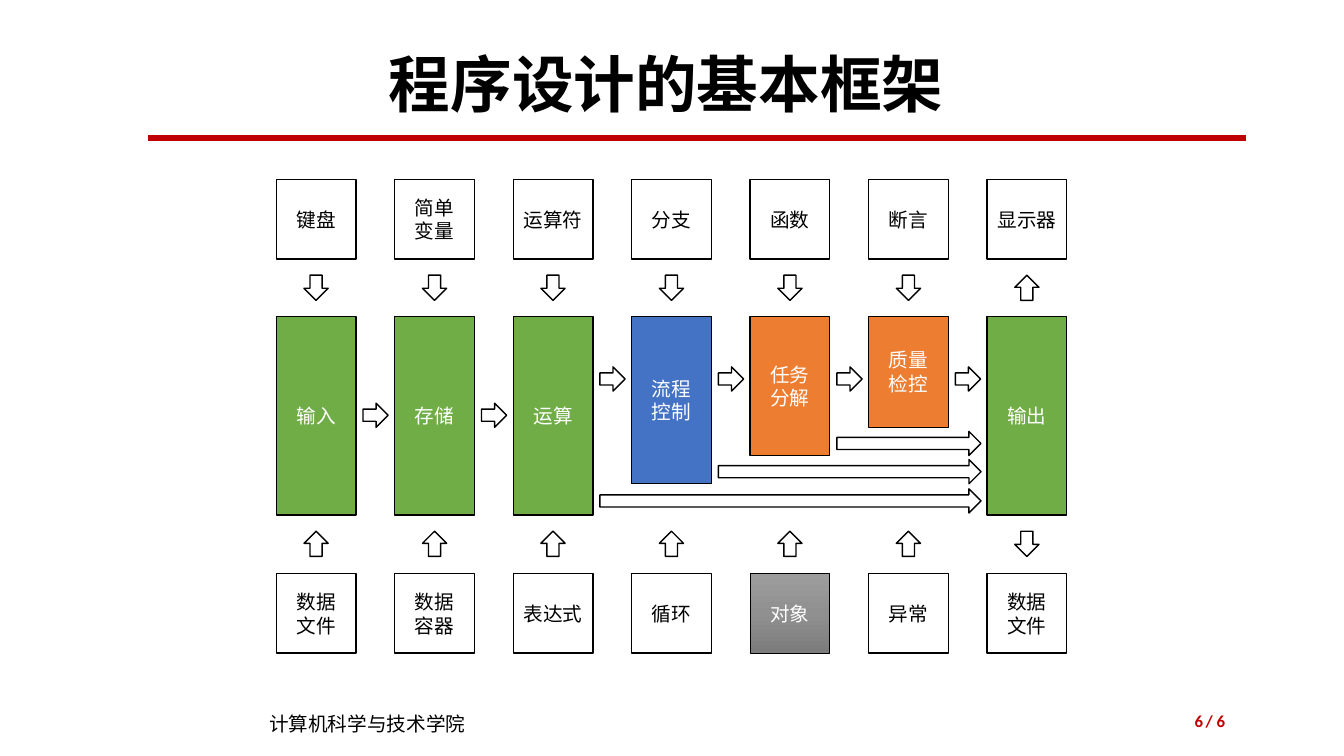
from copy import deepcopy

from lxml import etree
from pptx import Presentation
from pptx.dml.color import RGBColor
from pptx.enum import shapes, text
from pptx.oxml.ns import qn
from pptx.util import Inches, Pt

BLACK = RGBColor(0x00, 0x00, 0x00)
WHITE = RGBColor(0xFF, 0xFF, 0xFF)
RED = RGBColor(0xC0, 0x00, 0x00)
GREEN = RGBColor(0x70, 0xAD, 0x47)
BLUE = RGBColor(0x44, 0x72, 0xC4)
ORANGE = RGBColor(0xED, 0x7D, 0x31)
GREYS = [RGBColor(0x9D, 0x9D, 0x9D), RGBColor(0x90, 0x90, 0x90), RGBColor(0x7C, 0x7C, 0x7C)]

SHAPE = shapes.MSO_SHAPE
ALIGN = text.PP_ALIGN
ANCHOR = text.MSO_ANCHOR

# Grid of the diagram, in inches
FIRST_LEFT, PITCH, BOX = 2.74, 1.175, 0.79
TOP_ROW, STAGE_ROW, BOTTOM_ROW = 1.78, 3.14, 5.69
ARROW_LENGTH, ARROW_WIDTH, ARROW_GAP = 0.25, 0.24, 0.07

# Upper box, stage, stage colour, stage height, lower box
COLUMNS = [
    ("键盘", "输入", GREEN, 1.97, "数据\n文件"),
    ("简单\n变量", "存储", GREEN, 1.97, "数据\n容器"),
    ("运算符", "运算", GREEN, 1.97, "表达式"),
    ("分支", "流程\n控制", BLUE, 1.66, "循环"),
    ("函数", "任务\n分解", ORANGE, 1.38, "对象"),
    ("断言", "质量\n检控", ORANGE, 1.10, "异常"),
    ("显示器", "输出", GREEN, 1.97, "数据\n文件"),
]
# Stage index and top of each long arrow to the output
LONG_ARROWS = [(2, 4.85), (3, 4.56), (4, 4.28)]


class FrameworkSlide:
    latin, east_asian = "Calibri", "Noto Sans CJK SC"

    def __init__(self, slide):
        self.items = slide.shapes

    def set_words(self, frame, words, size, color, bold=False, align=ALIGN.CENTER,
                  anchor=ANCHOR.MIDDLE, spacing=None, latin=None):
        frame.word_wrap = True
        frame.vertical_anchor = anchor
        frame.text = words
        for paragraph in frame.paragraphs:
            paragraph.alignment = align
            if spacing:
                paragraph.line_spacing = spacing
            for run in paragraph.runs:
                run.font.size = Pt(size)
                run.font.bold = bold
                run.font.color.rgb = color
                run.font.name = latin or self.latin
                east = etree.SubElement(run.font._element, qn("a:ea"))
                east.set("typeface", self.east_asian)

    def label(self, words, left, top, width, height, size, color, **style):
        area = self.items.add_textbox(Inches(left), Inches(top), Inches(width), Inches(height))
        self.set_words(area.text_frame, words, size, color, **style)

    def rule(self, left, right, top, color, weight):
        line = self.items.add_connector(
            shapes.MSO_CONNECTOR.STRAIGHT, Inches(left), Inches(top), Inches(right), Inches(top))
        line.line.color.rgb = color
        line.line.width = Pt(weight)
        etree.SubElement(line._element.spPr, qn("a:effectLst"))

    def outline(self, kind, left, top, width, height, fill=WHITE):
        item = self.items.add_shape(
            kind, Inches(left), Inches(top), Inches(width), Inches(height))
        item.shadow.inherit = False
        item.fill.solid()
        item.fill.fore_color.rgb = fill
        item.line.color.rgb = BLACK
        item.line.width = Pt(1)
        return item

    def box(self, words, left, top, height=BOX, fill=WHITE, color=BLACK):
        item = self.outline(SHAPE.RECTANGLE, left, top, BOX, height, fill)
        self.set_words(item.text_frame, words, 14, color)
        return item

    def grey_box(self, words, left, top):
        item = self.box(words, left, top, color=WHITE)
        item.line.width = Pt(0.5)
        item.fill.gradient()
        item.fill.gradient_angle = 270
        stop_list = item._element.spPr.find(".//" + qn("a:gsLst"))
        stop_list.insert(1, deepcopy(stop_list[0]))
        for index, (stop, grey) in enumerate(zip(item.fill.gradient_stops, GREYS)):
            stop.position = index / 2
            stop.color.rgb = grey

    def vertical_arrow(self, box_left, top, down):
        kind = SHAPE.DOWN_ARROW if down else SHAPE.UP_ARROW
        left = box_left + (BOX - ARROW_WIDTH) / 2
        self.outline(kind, left, top, ARROW_WIDTH, ARROW_LENGTH)

    def right_arrow(self, left, top, length=ARROW_LENGTH):
        self.outline(SHAPE.RIGHT_ARROW, left, top, length, ARROW_WIDTH)


def main():
    deck = Presentation()
    deck.slide_width, deck.slide_height = Inches(13.33), Inches(7.5)
    page = FrameworkSlide(deck.slides.add_slide(deck.slide_layouts[6]))

    # Title and footer
    page.rule(1.47, 12.36, 1.37, RED, 4.5)
    page.label("程序设计的基本框架", 0.86, 0.4, 11.5, 0.94, 44, BLACK, bold=True, spacing=0.9)
    page.label("计算机科学与技术学院", 2.57, 7.01, 2.92, 0.34, 14, BLACK,
               align=ALIGN.LEFT, anchor=ANCHOR.TOP, latin=page.east_asian)
    page.label("6", 9.42, 6.95, 2.61, 0.4, 12, RED, bold=True, align=ALIGN.RIGHT)
    page.label("/ 6", 11.86, 6.95, 0.49, 0.4, 12, RED, bold=True, align=ALIGN.LEFT)

    # Columns: means above and below each stage
    lefts = [FIRST_LEFT + PITCH * index for index in range(len(COLUMNS))]
    output = len(COLUMNS) - 1
    for index, (upper, stage, color, height, lower) in enumerate(COLUMNS):
        left = lefts[index]
        page.box(upper, left, TOP_ROW)
        page.vertical_arrow(left, 2.73, down=index != output)
        page.box(stage, left, STAGE_ROW, height, color, WHITE)
        page.vertical_arrow(left, 5.27, down=index == output)
        if lower == "对象":
            page.grey_box(lower, left, BOTTOM_ROW)
        else:
            page.box(lower, left, BOTTOM_ROW)
        # Flow to the next stage
        if index != output:
            page.right_arrow(left + BOX + ARROW_GAP, 4.0 if index < 2 else 3.64)

    # Direct flows to the output
    for index, top in LONG_ARROWS:
        start = lefts[index] + BOX + ARROW_GAP
        page.right_arrow(start, top, lefts[output] - ARROW_GAP + 0.01 - start)

    deck.save("out.pptx")


if __name__ == "__main__":
    main()
